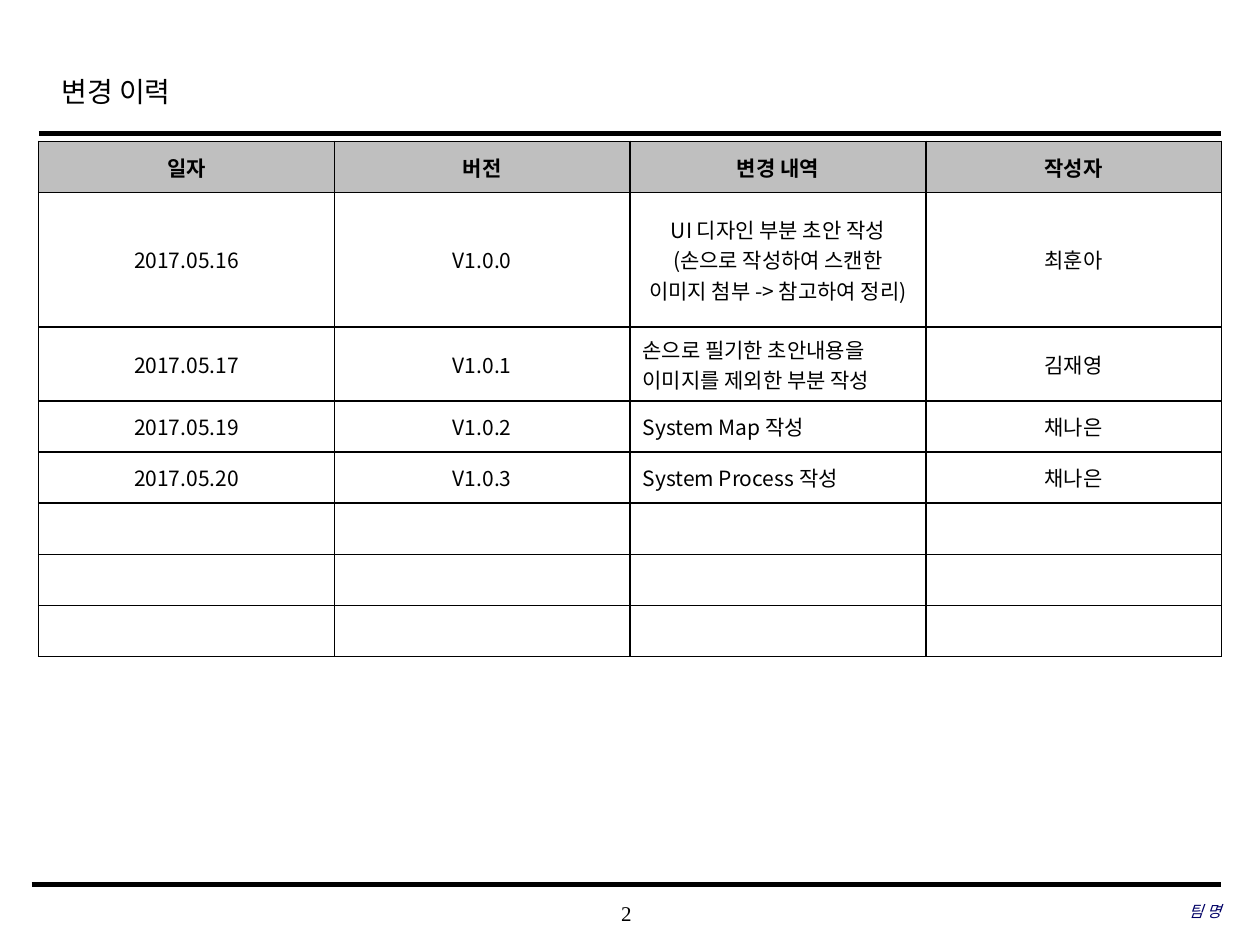
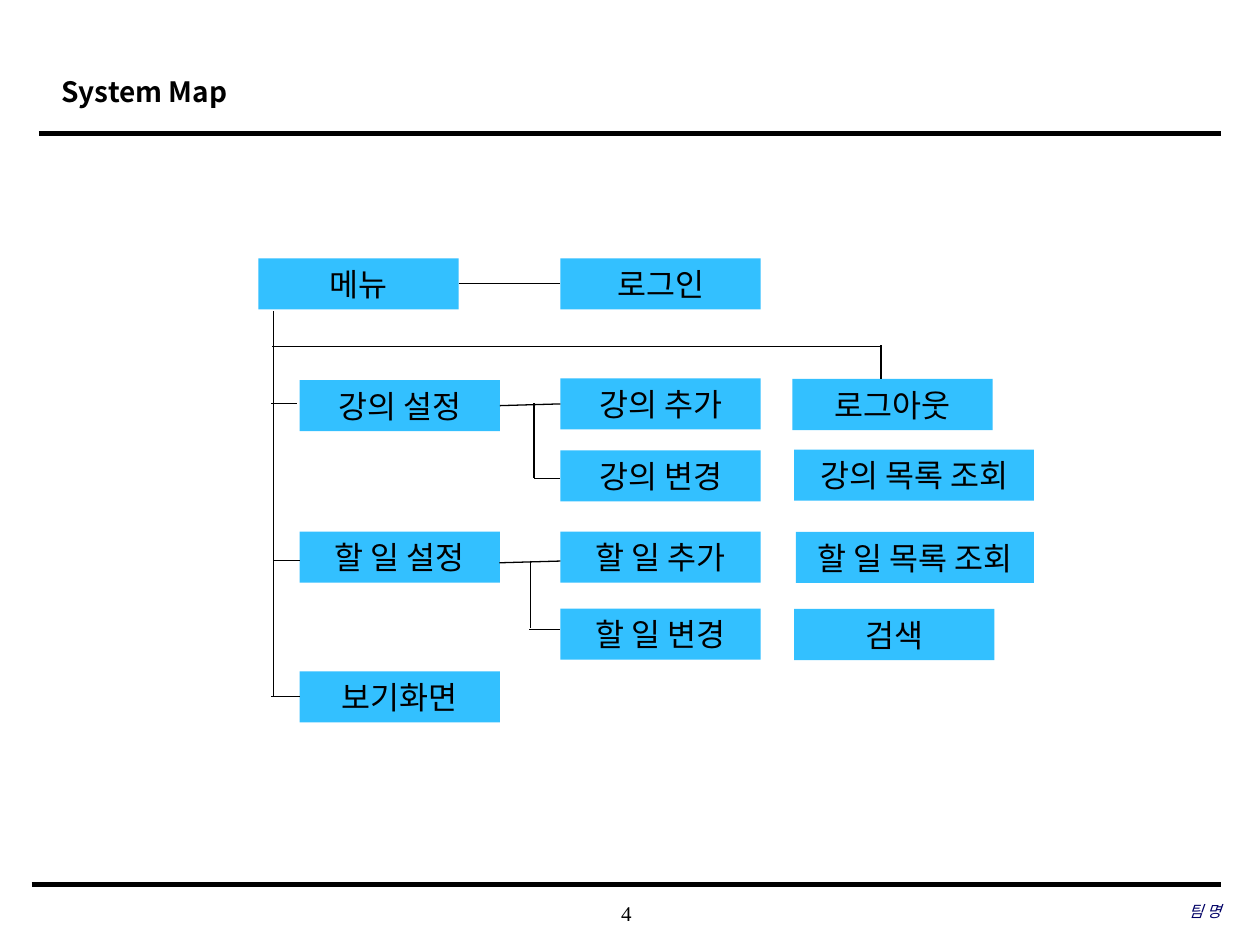
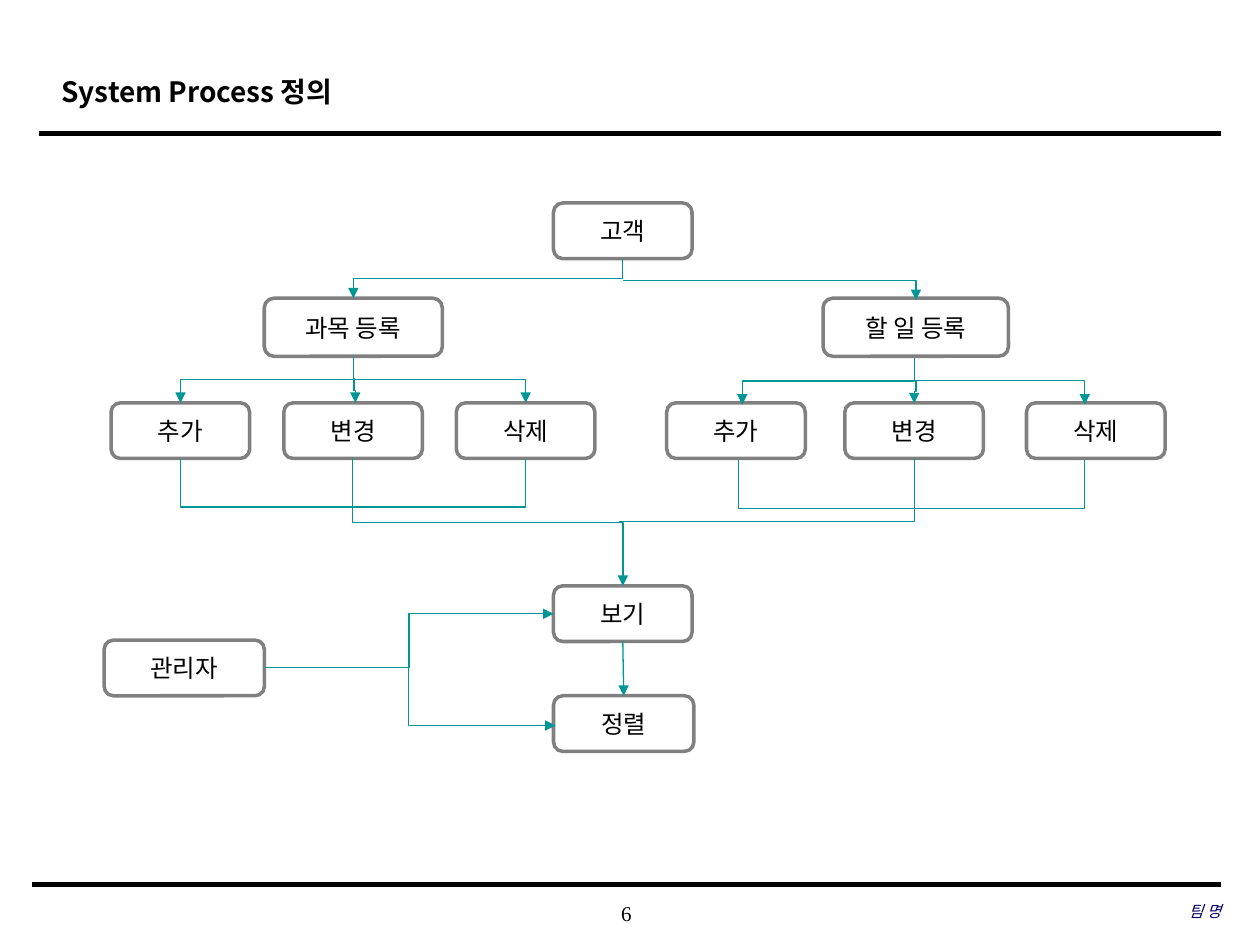
import pptx
import pptx.dml.color
import pptx.enum.shapes
import pptx.enum.text
import pptx.oxml
import pptx.oxml.ns
import pptx.util

Pt = pptx.util.Pt
RGBColor = pptx.dml.color.RGBColor
Align = pptx.enum.text.PP_ALIGN
Anchor = pptx.enum.text.MSO_ANCHOR
ShapeKind = pptx.enum.shapes.MSO_SHAPE
ConnectorKind = pptx.enum.shapes.MSO_CONNECTOR
qn = pptx.oxml.ns.qn

BLACK = RGBColor(0x00, 0x00, 0x00)
WHITE = RGBColor(0xFF, 0xFF, 0xFF)
GRAY = RGBColor(0x80, 0x80, 0x80)
HEADER_GRAY = RGBColor(0xBF, 0xBF, 0xBF)
SKY = RGBColor(0x33, 0xC0, 0xFF)
TEAL = RGBColor(0x00, 0x96, 0x96)
NAVY = RGBColor(0x00, 0x00, 0x66)

SANS = "Noto Sans CJK KR"
SERIF = "Times New Roman"
TOP, LEFT, BOTTOM, RIGHT = range(4)


def add_xml(parent, tag, **attributes):
    element = pptx.oxml.parse_xml(f"<{tag} {pptx.oxml.ns.nsdecls('a')}/>")
    for name, value in attributes.items():
        element.set(name, str(value))
    parent.append(element)
    return element


class Deck:
    def __init__(self):
        self.presentation = pptx.Presentation()
        self.presentation.slide_width = Pt(720)
        self.presentation.slide_height = Pt(540)
        self.slide = None

    def new_slide(self, number, title, title_font=SANS, bold=True, team_font=SANS):
        self.slide = self.presentation.slides.add_slide(self.presentation.slide_layouts[6])
        self.text(283, 509.8, 150, 23.8, str(number), 12, SERIF, align=Align.CENTER)
        self.line((22.3, 76.3), (697.7, 76.3), width=2.5)
        self.line((18, 505.4), (697.7, 505.4), width=3)
        heading = self.text(28.1, 35.3, 543.6, 36, title, 16, title_font, bold=bold,
                            anchor=Anchor.TOP, inset=(7.2, 3.6))
        heading.text_frame.paragraphs[0].line_spacing = 1.2
        self.text(477.4, 509, 220.3, 23.8, "팀 명", 9, team_font, NAVY,
                  italic=True, align=Align.RIGHT)

    def format_text(self, frame, size, font=SANS, color=BLACK, bold=False,
                    italic=False, align=Align.LEFT):
        for paragraph in frame.paragraphs:
            paragraph.alignment = align
            for run in paragraph.runs:
                run.font.size = Pt(size)
                run.font.name = font
                run.font.bold = bold
                run.font.italic = italic
                run.font.color.rgb = color
                add_xml(run.font._element, "a:ea", typeface=SANS)

    def text(self, left, top, width, height, text, size, font, color=BLACK, bold=False,
             italic=False, align=Align.LEFT, anchor=Anchor.MIDDLE, inset=(0, 0)):
        shape = self.slide.shapes.add_textbox(Pt(left), Pt(top), Pt(width), Pt(height))
        frame = shape.text_frame
        frame.word_wrap = True
        frame.vertical_anchor = anchor
        frame.margin_left = frame.margin_right = Pt(inset[0])
        frame.margin_top = frame.margin_bottom = Pt(inset[1])
        frame.text = text
        self.format_text(frame, size, font, color, bold, italic, align)
        return shape

    def box(self, kind, left, top, width, height, text, size, fill, outline=None):
        shape = self.slide.shapes.add_shape(kind, Pt(left), Pt(top), Pt(width), Pt(height))
        shape.shadow.inherit = False
        shape.fill.solid()
        shape.fill.fore_color.rgb = fill
        if outline is None:
            shape.line.fill.background()
        else:
            shape.line.color.rgb = outline
            shape.line.width = Pt(2)
        shape.text_frame.word_wrap = True
        shape.text_frame.vertical_anchor = Anchor.MIDDLE
        shape.text_frame.text = text
        self.format_text(shape.text_frame, size, align=Align.CENTER)
        return shape

    def connector(self, kind, start, end, color, width, arrow):
        connector = self.slide.shapes.add_connector(kind, *map(Pt, (*start, *end)))
        connector.line.color.rgb = color
        connector.line.width = Pt(width)
        if arrow:
            add_xml(connector.line._get_or_add_ln(), "a:tailEnd", type="triangle")
        add_xml(connector._element.spPr, "a:effectLst")
        return connector

    def line(self, start, end, color=BLACK, width=0.75, arrow=False):
        return self.connector(ConnectorKind.STRAIGHT, start, end, color, width, arrow)

    def join(self, first, first_side, second, second_side, color=BLACK, arrow=False):
        connector = self.line((0, 0), (1, 1), color, arrow=arrow)
        connector.begin_connect(first, first_side)
        connector.end_connect(second, second_side)

    def elbow(self, start, end, vertical=True, corner=False, bend=0.5, arrow=True):
        (x1, y1), (x2, y2) = start, end
        if vertical:
            center_x, center_y = (x1 + x2) / 2, (y1 + y2) / 2
            half_width, half_height = abs(y2 - y1) / 2, abs(x2 - x1) / 2
            start = center_x - half_width, center_y - half_height
            end = center_x + half_width, center_y + half_height
        connector = self.connector(ConnectorKind.ELBOW, start, end, TEAL, 0.75, arrow)
        properties = connector._element.spPr
        if vertical:
            transform = properties.find(qn("a:xfrm"))
            transform.set("rot", "5400000" if x2 < x1 else "16200000")
            if x2 >= x1:
                transform.set("flipH", "1")
        geometry = properties.find(qn("a:prstGeom"))
        if corner:
            geometry.set("prst", "bentConnector2")
        elif bend != 0.5:
            add_xml(geometry.find(qn("a:avLst")), "a:gd", name="adj1",
                    fmla=f"val {round(bend * 100000)}")

    def table(self, left, top, column_width, row_heights, rows, left_aligned):
        columns = len(rows[0])
        table = self.slide.shapes.add_table(
            len(rows), columns, Pt(left), Pt(top),
            Pt(column_width * columns), Pt(sum(row_heights))).table
        table.first_row = table.horz_banding = False
        for row_index, (row, row_height) in enumerate(zip(rows, row_heights)):
            table.rows[row_index].height = Pt(row_height)
            for column_index, text in enumerate(row):
                cell = table.cell(row_index, column_index)
                header = row_index == 0
                aligned = (row_index, column_index) in left_aligned
                cell.text_frame.text = text
                cell.vertical_anchor = Anchor.MIDDLE
                self.format_text(cell.text_frame, 12, bold=header,
                                 align=Align.LEFT if aligned else Align.CENTER)
                for side in ("L", "R", "T", "B"):
                    border = add_xml(cell._tc.get_or_add_tcPr(), f"a:ln{side}", w=Pt(1))
                    add_xml(add_xml(border, "a:solidFill"), "a:srgbClr", val=BLACK)
                cell.fill.solid()
                cell.fill.fore_color.rgb = HEADER_GRAY if header else WHITE


def build_history(deck):
    deck.new_slide(2, "변경 이력", title_font=SERIF, bold=False, team_font=SERIF)
    rows = [
        ("일자", "버전", "변경 내역", "작성자"),
        ("2017.05.16", "V1.0.0",
         "UI 디자인 부분 초안 작성\n(손으로 작성하여 스캔한 이미지 첨부 -> 참고하여 정리)", "최훈아"),
        ("2017.05.17", "V1.0.1", "손으로 필기한 초안내용을 이미지를 제외한 부분 작성", "김재영"),
        ("2017.05.19", "V1.0.2", "System Map 작성", "채나은"),
        ("2017.05.20", "V1.0.3", "System Process 작성", "채나은"),
    ] + [("",) * 4] * 3
    row_heights = [29.2, 77, 42.2] + [29.2] * 5
    deck.table(22.1, 80.8, 169, row_heights, rows, {(2, 2), (3, 2), (4, 2)})


def build_map(deck):
    deck.new_slide(4, "System Map")
    menu_items = [
        ("메뉴", 147.6, 147.6, 114.5), ("로그인", 320.2, 147.6, 114.5),
        ("강의 설정", 171.2, 217.2, 114.5), ("할 일 설정", 171.2, 303.8, 114.5),
        ("보기화면", 171.2, 383.6, 114.5), ("강의 추가", 320.2, 216.2, 114.5),
        ("강의 변경", 320.2, 257.4, 114.5), ("할 일 추가", 320.2, 303.8, 114.5),
        ("할 일 변경", 320.2, 347.8, 114.5), ("로그아웃", 452.8, 216.6, 114.5),
        ("강의 목록 조회", 453.8, 257, 137), ("할 일 목록 조회", 454.8, 304, 136),
        ("검색", 453.8, 348, 114.5),
    ]
    boxes = {
        name: deck.box(ShapeKind.RECTANGLE, left, top, width, 29.2, name, 18, SKY)
        for name, left, top, width in menu_items
    }
    deck.join(boxes["메뉴"], RIGHT, boxes["로그인"], LEFT)
    deck.join(boxes["강의 설정"], RIGHT, boxes["강의 추가"], LEFT)
    view_branch = deck.line((155, 398.2), (171.2, 398.2))
    view_branch.end_connect(boxes["보기화면"], LEFT)
    branches = [
        ((156.2, 177.8), (156.2, 398.2)), ((155, 230.4), (170, 230.4)),
        ((285.4, 321.6), (320.2, 320.6)), ((305.2, 230.4), (305.2, 273.4)),
        ((305.2, 273.4), (320.2, 273.4)), ((156.2, 320.4), (171.2, 320.4)),
        ((303.2, 320.4), (303.2, 358.8)), ((302.4, 359.8), (320.2, 359.8)),
        ((155.6, 198), (503.4, 198)), ((503.4, 197.2), (503.4, 216.6)),
    ]
    for start, end in branches:
        deck.line(start, end)


def build_process(deck):
    deck.new_slide(6, "System Process 정의")

    def step(text, left, top, width=79.2, height=31.8):
        return deck.box(ShapeKind.ROUNDED_RECTANGLE, left, top, width, height,
                        text, 14, WHITE, GRAY)

    step("고객", 316.3, 116)
    step("과목 등록", 151, 170.4, 101.8, 33.2)
    step("할 일 등록", 470.3, 170.4, 106, 33.2)
    for lefts in ((63.5, 162.2, 260.8), (381, 482.8, 586.6)):
        for text, left in zip(("추가", "변경", "삭제"), lefts):
            step(text, left, 230.2)
    view = step("보기", 316.3, 334.8)
    sort = step("정렬", 316.3, 397.6, 80.2)
    step("관리자", 59.5, 365.8, 91.6)

    deck.elbow((355.9, 147.8), (201.9, 170.4))
    deck.elbow((355.9, 160.4), (523.4, 171.4), vertical=False, corner=True)
    deck.elbow((201.9, 203.8), (103.1, 230.2))
    deck.elbow((202.3, 216), (203, 230.2))
    deck.elbow((201.6, 216.8), (300.4, 230.2), vertical=False, corner=True)
    deck.elbow((522.7, 204.4), (424.1, 231.2))
    deck.elbow((523.4, 217.4), (522.4, 230.4))
    deck.elbow((520.6, 217.6), (619.9, 231.2), vertical=False, corner=True)
    for left, right, top in ((103.1, 300.4, 262), (422.2, 619.6, 262.8)):
        deck.elbow((left, top), (right, top + 0.2), bend=140, arrow=False)
    deck.elbow((201.6, 262), (355.9, 334.8))
    deck.elbow((522.7, 262), (353.5, 298), corner=True, arrow=False)
    deck.join(view, BOTTOM, sort, TOP, TEAL, arrow=True)
    deck.elbow((151.2, 381.4), (316.3, 350.8), vertical=False)
    deck.elbow((233.3, 371.8), (317.5, 414.6), vertical=False, bend=0)


def main():
    deck = Deck()
    build_history(deck)
    build_map(deck)
    build_process(deck)
    deck.presentation.save("out.pptx")


if __name__ == "__main__":
    main()
